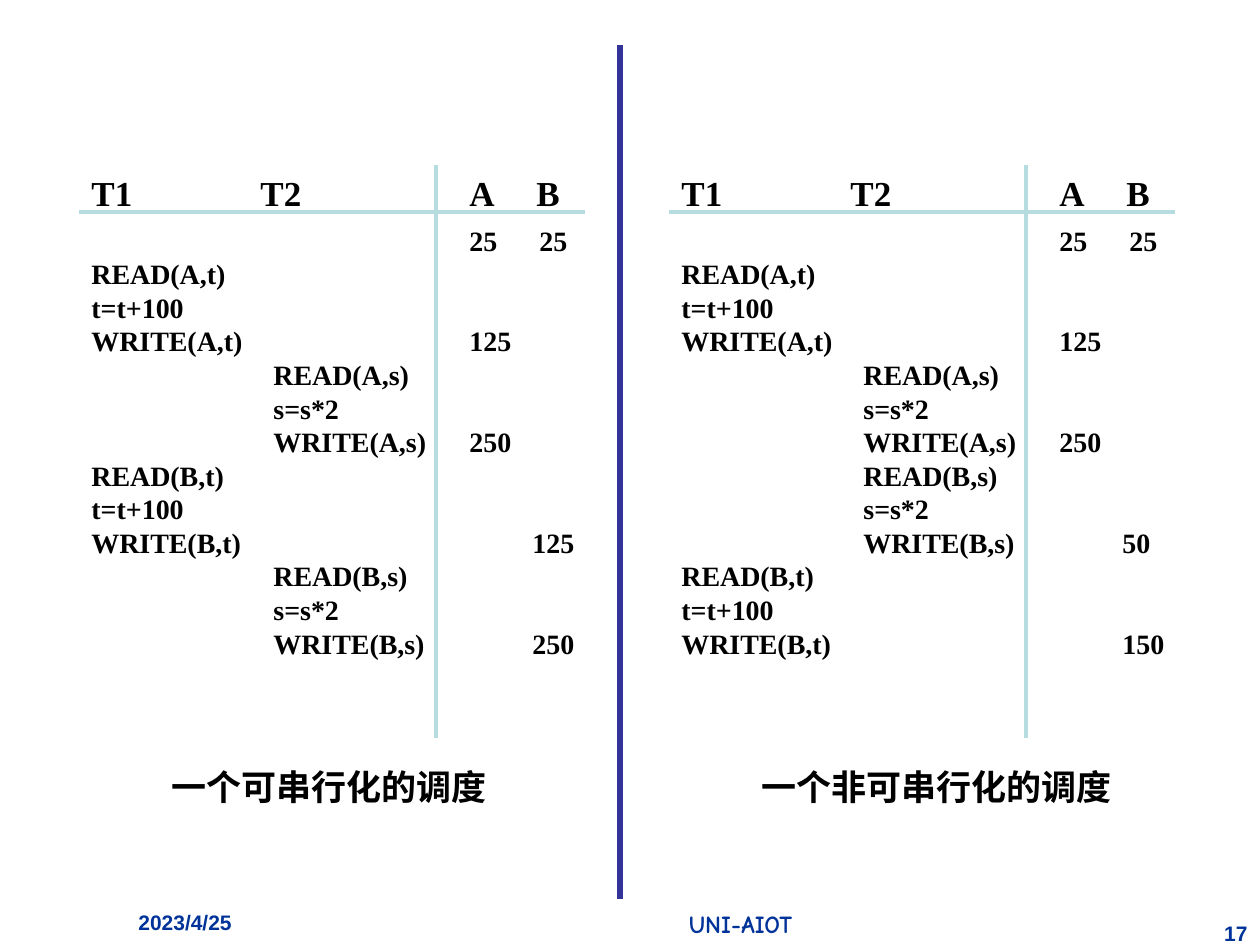
import pptx
import pptx.dml.color
import pptx.enum.shapes
import pptx.enum.text
import pptx.oxml.ns
import pptx.util
from lxml import etree

COLORS = {"text": "000000", "footer": "003399", "divider": "333399", "rule": "B6DCDF"}
ALIGN = pptx.enum.text.PP_ALIGN
SERIF = "Times New Roman"
HAN = "Noto Sans CJK JP"
T2_STOP, A_STOP, B_STOP = 182, 378, 441
HEADER_STOPS = [169, 378, 445]
START_STOPS = [T2_STOP, A_STOP, 448]
PANEL_WIDTH = 525


def steps(item, variable, update):
    return [f"READ({item},{variable})", update, f"WRITE({item},{variable})"]


T1_A, T1_B = [steps(item, "t", "t=t+100") for item in "AB"]
T2_A, T2_B = [steps(item, "s", "s=s*2") for item in "AB"]


def schedule_lines(blocks):
    lines = ["\t\t25\t25"]
    for transaction, operations, item, value in blocks:
        indent = "\t" * (transaction - 1)
        gap = "\t" * (3 - transaction + (item == "B"))
        lines += [indent + operation for operation in operations]
        lines[-1] += gap + value
    return lines


class SlideBuilder:
    EMU_PER_PX = 914400 / 126

    def __init__(self, presentation):
        self.slide = presentation.slides.add_slide(presentation.slide_layouts[6])

    @classmethod
    def px(cls, value):
        return pptx.util.Emu(round(value * cls.EMU_PER_PX))

    def color(self, name):
        return pptx.dml.color.RGBColor.from_string(COLORS[name])

    def line(self, x1, y1, x2, y2, color, width):
        connector = self.slide.shapes.add_connector(
            pptx.enum.shapes.MSO_CONNECTOR.STRAIGHT,
            *[self.px(value) for value in (x1, y1, x2, y2)])
        connector.line.color.rgb = self.color(color)
        connector.line.width = pptx.util.Pt(width)
        etree.SubElement(connector._element.spPr, pptx.oxml.ns.qn("a:effectLst"))

    def text(self, box, lines, size, font, color="text", align=ALIGN.LEFT,
             stops=(), first_stops=None, fixed_spacing=True):
        shape = self.slide.shapes.add_textbox(*[self.px(value) for value in box])
        frame = shape.text_frame
        frame.word_wrap = True
        frame.text = "\n".join(lines)
        for index, paragraph in enumerate(frame.paragraphs):
            paragraph.alignment = align
            if fixed_spacing:
                paragraph.line_spacing = pptx.util.Pt(size * 1.2)
            self.tabs(paragraph, first_stops if first_stops and index == 0 else stops)
            paragraph.font.size = pptx.util.Pt(size)
            paragraph.font.bold = True
            paragraph.font.color.rgb = self.color(color)
            paragraph.font.name = font
            if font == HAN:
                properties = paragraph.font._element
                etree.SubElement(properties, pptx.oxml.ns.qn("a:ea"), typeface=font)

    def tabs(self, paragraph, stops):
        if not stops:
            return
        properties = paragraph._p.get_or_add_pPr()
        tab_list = etree.SubElement(properties, pptx.oxml.ns.qn("a:tabLst"))
        for stop in stops:
            etree.SubElement(tab_list, pptx.oxml.ns.qn("a:tab"),
                             pos=str(self.px(stop)), algn="l")

    def schedule(self, left, blocks, caption):
        self.line(left, 212, left + 506, 212, "rule", 2.25)
        self.text((left, 165, PANEL_WIDTH, 55), ["T1\tT2\tA\tB"], 20, SERIF,
                  stops=HEADER_STOPS)
        self.text((left, 217, PANEL_WIDTH, 454), schedule_lines(blocks), 16, SERIF,
                  stops=[T2_STOP, A_STOP, B_STOP], first_stops=START_STOPS)
        self.line(left + 357, 165, left + 357, 738, "rule", 2.25)
        self.text((left + 80, 759, 417, 55), [caption], 20, HAN)


def main():
    presentation = pptx.Presentation()
    presentation.slide_width = SlideBuilder.px(1260)
    presentation.slide_height = SlideBuilder.px(945)
    builder = SlideBuilder(presentation)

    builder.text((126, 903, 220, 42), ["2023/4/25"], 12, "Arial", "footer",
                 fixed_spacing=False)
    builder.text((441, 903, 599, 42), ["UNI-AIOT"], 14, "Comic Neue", "footer",
                 ALIGN.CENTER, fixed_spacing=False)
    builder.text((1207, 914, 53, 31), ["17"], 12, "Arial", "footer",
                 ALIGN.RIGHT, fixed_spacing=False)
    builder.line(620, 45, 620, 899, "divider", 3)

    builder.schedule(79, [(1, T1_A, "A", "125"), (2, T2_A, "A", "250"),
                          (1, T1_B, "B", "125"), (2, T2_B, "B", "250")],
                     "一个可串行化的调度")
    builder.schedule(669, [(1, T1_A, "A", "125"), (2, T2_A, "A", "250"),
                           (2, T2_B, "B", "50"), (1, T1_B, "B", "150")],
                     "一个非可串行化的调度")
    presentation.save("out.pptx")


if __name__ == "__main__":
    main()
